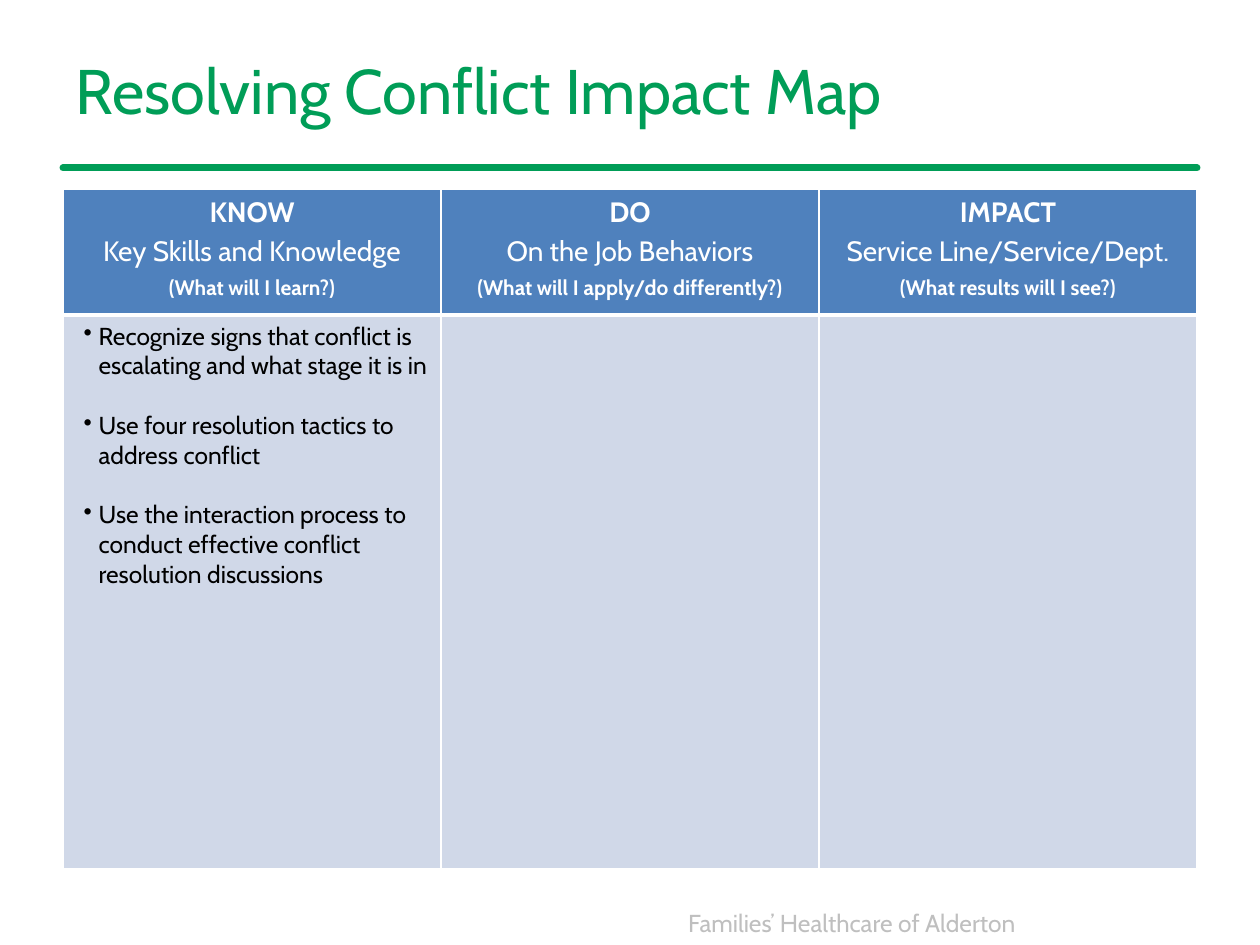
from dataclasses import dataclass

from lxml.etree import SubElement
from pptx import Presentation
from pptx.dml.color import RGBColor as Rgb
from pptx.enum.shapes import MSO_CONNECTOR as Connector
from pptx.enum.text import MSO_ANCHOR as Anchor, PP_ALIGN as Align
from pptx.oxml import parse_xml
from pptx.oxml.ns import nsdecls, qn
from pptx.util import Emu, Pt

EMU_PER_PX = 914400 / 126


@dataclass(frozen=True)
class Theme:
    font: str = "Cabin"
    green: str = "009D57"
    grey: str = "BFBFBF"
    header: str = "4F81BD"
    body: str = "D0D8E8"
    white: str = "FFFFFF"
    black: str = "000000"
    title_size: int = 36
    heading_size: int = 16
    body_size: int = 14
    note_size: int = 12


THEME = Theme()

COLUMNS = [
    ("KNOW", "Key Skills and Knowledge", "(What will I learn?)"),
    ("DO", "On the Job Behaviors", "(What will I apply/do differently?)"),
    ("IMPACT", "Service Line/Service/Dept.", "(What results will I see?)"),
]
SKILLS = [
    "Recognize signs that conflict is escalating and what stage it is in",
    "Use four resolution tactics to address conflict",
    "Use the interaction process to conduct effective conflict resolution discussions",
]


def px(value):
    return Emu(round(value * EMU_PER_PX))


def apply(target, formats):
    for name, value in formats.items():
        setattr(target, name, value)


def write(paragraph, text, size, color, bold=False, **formats):
    run = paragraph.add_run()
    run.text = text
    apply(run.font, {"name": THEME.font, "size": Pt(size), "bold": bold})
    run.font.color.rgb = Rgb.from_string(color)
    apply(paragraph, formats)


def paragraphs(frame, count):
    return [frame.paragraphs[0]] + [frame.add_paragraph() for _ in range(count - 1)]


def add_bullet(paragraph):
    properties = paragraph._p.get_or_add_pPr()
    apply_indent = {"marL": px(23), "indent": px(-15)}
    for name, value in apply_indent.items():
        properties.set(name, str(value))
    SubElement(properties, qn("a:buChar")).set("char", "•")


def set_borders(cell, **widths):
    properties = cell._tc.get_or_add_tcPr()
    for index, (side, width) in enumerate(widths.items()):
        properties.insert(index, parse_xml(
            f'<a:ln{side} {nsdecls("a")} w="{Pt(width)}"><a:solidFill>'
            f'<a:srgbClr val="{THEME.white}"/></a:solidFill></a:ln{side}>'))


def fill_cell(cell, color, bottom, top):
    cell.fill.solid()
    cell.fill.fore_color.rgb = Rgb.from_string(color)
    set_borders(cell, L=1, R=1, T=top, B=bottom)


def add_title(slide, text):
    title = slide.shapes.title
    apply(title, {"left": px(63), "top": px(21), "width": px(1134), "height": px(136)})
    title.text_frame.vertical_anchor = Anchor.MIDDLE
    write(title.text_frame.paragraphs[0], text, THEME.title_size, THEME.green,
          alignment=Align.LEFT)


def add_rule(slide):
    rule = slide.shapes.add_connector(
        Connector.STRAIGHT, px(63), px(168), px(1197), px(168))
    rule.line.color.rgb = Rgb.from_string(THEME.green)
    rule.line.width = Pt(4)
    rule.line._get_or_add_ln().set("cap", "rnd")
    SubElement(rule._element.spPr, qn("a:effectLst"))


def add_footer(slide, text):
    footer = slide.shapes.add_textbox(px(136), px(902), px(892), px(43))
    footer.text_frame.word_wrap = True
    write(footer.text_frame.paragraphs[0], text, THEME.body_size, THEME.grey,
          alignment=Align.RIGHT)


def add_impact_map(slide):
    table = slide.shapes.add_table(
        2, len(COLUMNS), px(63), px(189), px(1134), px(680)).table
    for row, height in zip(table.rows, (126, 554)):
        row.height = px(height)
    line_styles = [(THEME.heading_size, True), (THEME.heading_size, False),
                   (THEME.note_size, True)]
    for column, lines in enumerate(COLUMNS):
        heading, body = table.cell(0, column), table.cell(1, column)
        fill_cell(heading, THEME.header, bottom=3, top=1)
        fill_cell(body, THEME.body, bottom=1, top=3)
        for paragraph, text, (size, bold) in zip(
                paragraphs(heading.text_frame, len(lines)), lines, line_styles):
            write(paragraph, text, size, THEME.white, bold,
                  alignment=Align.CENTER, space_before=Pt(3.4))
    skills_frame = table.cell(1, 0).text_frame
    for index, (paragraph, text) in enumerate(
            zip(paragraphs(skills_frame, len(SKILLS)), SKILLS)):
        write(paragraph, text, THEME.body_size, THEME.black,
              alignment=Align.LEFT, space_before=Pt(17 if index else 0))
        add_bullet(paragraph)


def main():
    deck = Presentation()
    apply(deck, {"slide_width": px(1260), "slide_height": px(945)})
    slide = deck.slides.add_slide(deck.slide_layouts[5])
    add_rule(slide)
    add_footer(slide, "Families’ Healthcare of Alderton")
    add_title(slide, "Resolving Conflict Impact Map")
    add_impact_map(slide)
    deck.save("out.pptx")


main()
